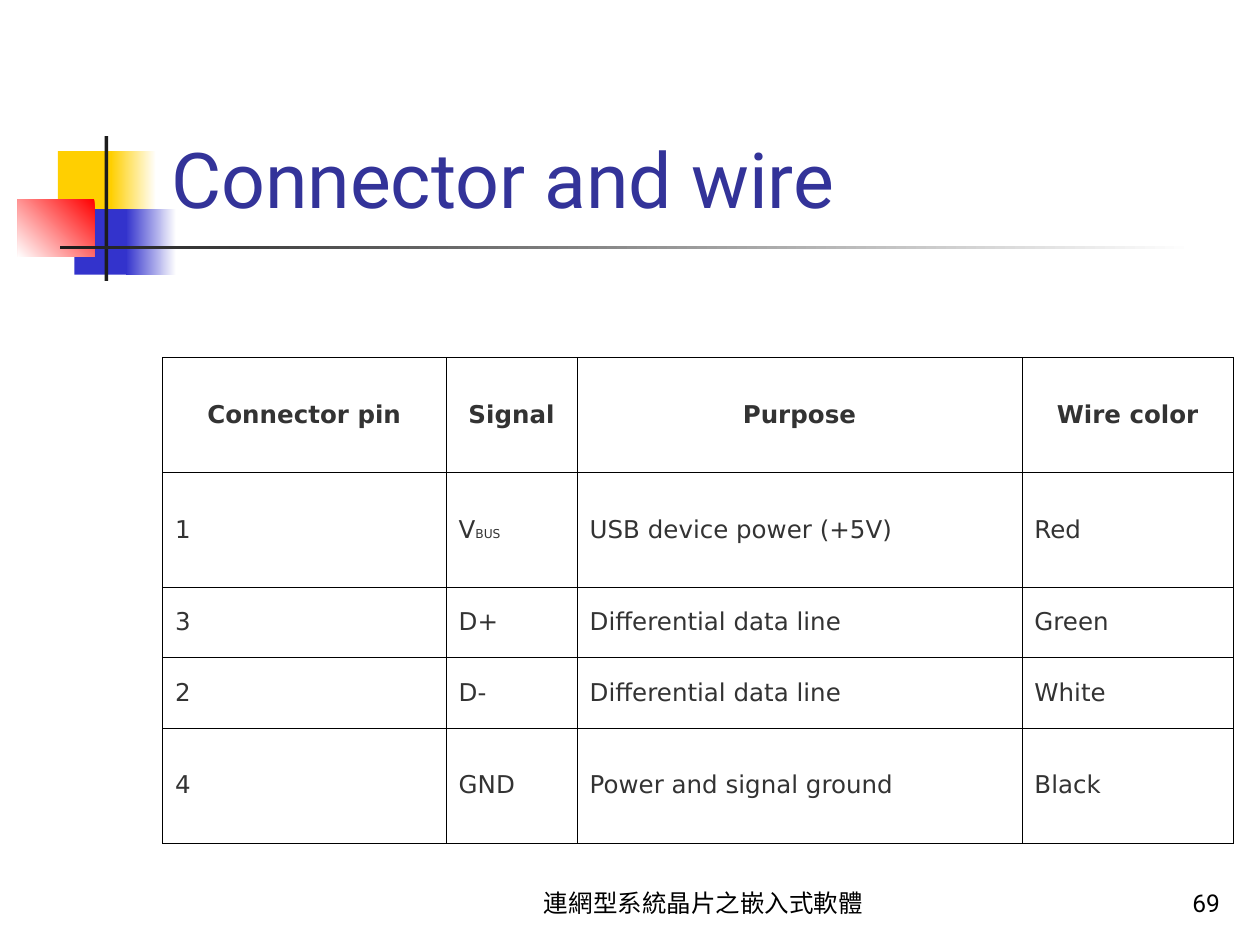
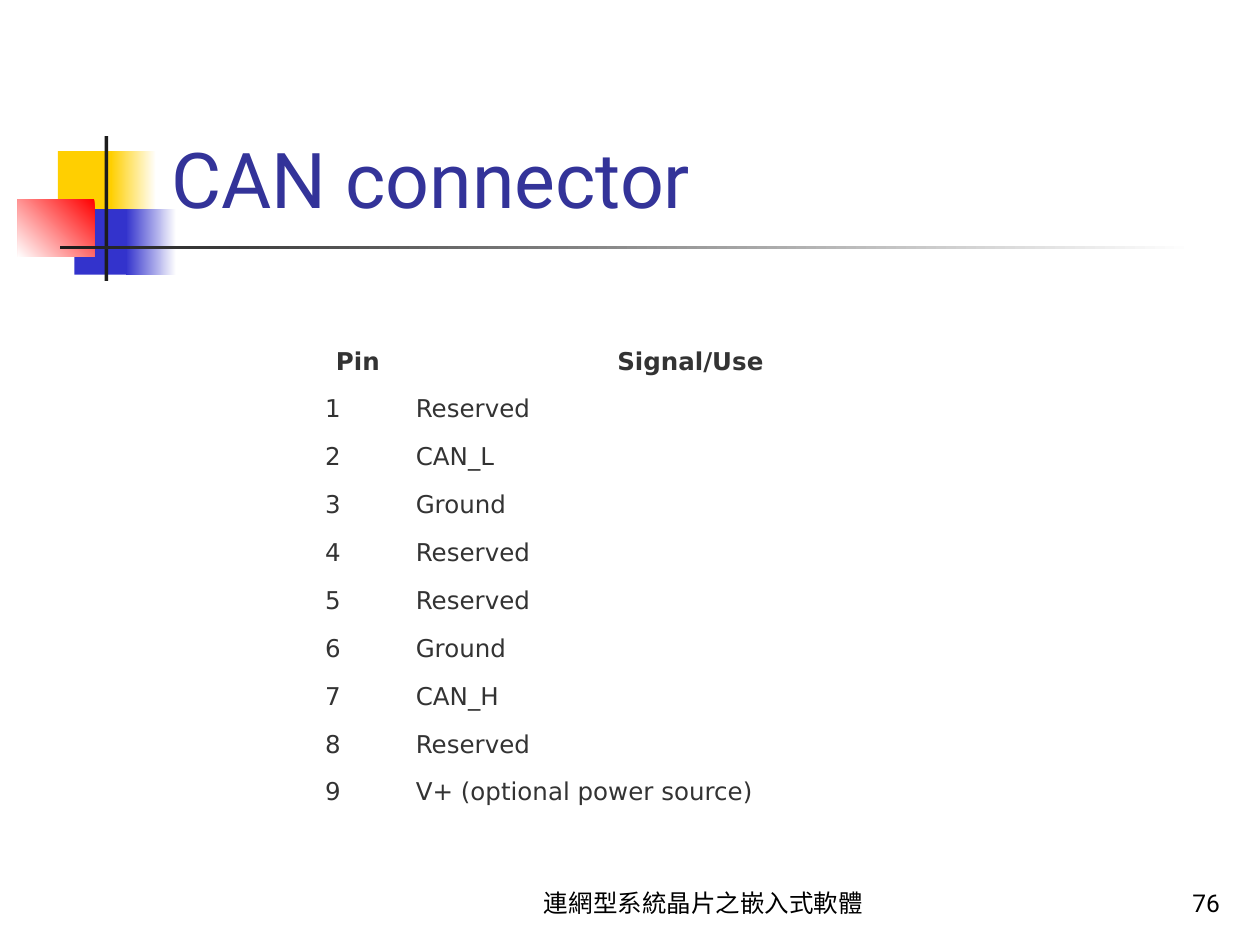
"""Builds two slides on the USB and CAN connectors."""
from lxml.etree import SubElement
from pptx import Presentation
from pptx.dml.color import RGBColor
from pptx.enum.shapes import MSO_SHAPE
from pptx.enum.text import MSO_ANCHOR, PP_ALIGN
from pptx.oxml.ns import qn
from pptx.util import Emu, Pt

PX = 9144
WHITE = RGBColor(0xFF, 0xFF, 0xFF)
BLACK = RGBColor(0x00, 0x00, 0x00)
YELLOW = RGBColor(0xFF, 0xCF, 0x01)
BLUE = RGBColor(0x33, 0x33, 0xCC)
RED = RGBColor(0xFF, 0x00, 0x00)
INK = RGBColor(0x1C, 0x1C, 0x1C)
NAVY = RGBColor(0x33, 0x33, 0x99)
GREY = RGBColor(0x33, 0x33, 0x33)

HEAD_FONT = "Roboto"
TABLE_FONT = "DejaVu Sans"
NO_STYLE = "{2D5ABB26-0587-4C30-8999-92F81FD0307C}"
FOOTER = "連網型系統晶片之嵌入式軟體"
THIN, TOP_LINE = 0.34, 0.45

USB_ROWS = [
    ("Connector pin", "Signal", "Purpose", "Wire color"),
    ("1", [("V", 14), ("BUS", 7)], "USB device power (+5V)", "Red"),
    ("3", "D+", "Differential data line", "Green"),
    ("2", "D-", "Differential data line", "White"),
    ("4", "GND", "Power and signal ground", "Black"),
]
CAN_SIGNALS = ["Reserved", "CAN_L", "Ground", "Reserved", "Reserved", "Ground",
               "CAN_H", "Reserved", "V+ (optional power source)"]


def px(n):
    return Emu(n * PX)


class Deck:
    """Holds the shared style and the current slide."""

    def __init__(self):
        self.prs = Presentation()
        self.prs.slide_width, self.prs.slide_height = px(1000), px(750)

    def slide(self, title, number):
        self.s = self.prs.slides.add_slide(self.prs.slide_layouts[6])
        self.emblem()
        self.text((126, 23, 852, 160), title, 44, NAVY, PP_ALIGN.LEFT)
        self.text((400, 683, 317, 50), FOOTER, 14, BLACK, PP_ALIGN.CENTER)
        self.text((770, 683, 208, 50), str(number), 14, BLACK, PP_ALIGN.RIGHT)

    def emblem(self):
        self.rect((46, 120, 48, 52), YELLOW)
        self.rect((88, 120, 36, 52), WHITE, YELLOW)
        self.rect((59, 166, 46, 52), BLUE)
        self.rect((100, 166, 40, 52), WHITE, BLUE)
        self.rect((14, 158, 61, 46), RED, WHITE, 225)
        self.rect((83, 108, 3, 115), INK)
        self.rect((48, 195, 900, 3), WHITE, INK)

    def rect(self, box, color, end=None, angle=180):
        sp = self.s.shapes.add_shape(MSO_SHAPE.RECTANGLE, *map(px, box))
        sp.shadow.inherit = False
        sp.line.fill.background()
        if end is None:
            sp.fill.solid()
            sp.fill.fore_color.rgb = color
            return
        sp.fill.gradient()
        sp.fill.gradient_angle = angle
        for stop, rgb in zip(sp.fill.gradient_stops, (color, end)):
            stop.color.rgb = rgb

    def run(self, p, text, size, color, font, bold=False):
        r = p.add_run()
        r.text = text
        r.font.size, r.font.name, r.font.bold = Pt(size), font, bold
        r.font.color.rgb = color

    def text(self, box, text, size, color, align):
        tf = self.s.shapes.add_textbox(*map(px, box)).text_frame
        tf.word_wrap = True
        tf.vertical_anchor = MSO_ANCHOR.BOTTOM
        p = tf.paragraphs[0]
        p.alignment = align
        self.run(p, text, size, color, HEAD_FONT)

    def table(self, left, top, widths, heights, rows, ruled=False):
        """Adds a table with an empty merged row above its header."""
        box = (left, top, sum(widths), sum(heights))
        table = self.s.shapes.add_table(len(heights), len(widths), *map(px, box)).table
        table.first_row = table.horz_banding = False
        table._tbl.tblPr.find(qn("a:tableStyleId")).text = NO_STYLE
        for column, width in zip(table.columns, widths):
            column.width = px(width)
        for row, height in zip(table.rows, heights):
            row.height = px(height)
        for cell in table.iter_cells():
            cell.fill.background()
        table.cell(0, 0).merge(table.cell(0, len(widths) - 1))
        if ruled:
            for cell in table.rows[0].cells:
                self.borders(cell, B=TOP_LINE)
        for i, row in enumerate(rows, 1):
            for j, content in enumerate(row):
                cell = table.cell(i, j)
                self.cell(cell, content, header=i == 1)
                if ruled:
                    self.borders(cell, L=THIN, R=THIN, T=TOP_LINE if i == 1 else THIN, B=THIN)

    def cell(self, cell, content, header):
        cell.vertical_anchor = MSO_ANCHOR.MIDDLE
        p = cell.text_frame.paragraphs[0]
        p.alignment = PP_ALIGN.CENTER if header else PP_ALIGN.LEFT
        pPr = p._p.get_or_add_pPr()
        pPr.set("marL", str(px(38)))
        pPr.set("indent", str(px(-38)))
        runs = [(content, 14)] if isinstance(content, str) else content
        for text, size in runs:
            self.run(p, text, size, GREY, TABLE_FONT, header)

    def borders(self, cell, **sides):
        tcPr = cell._tc.get_or_add_tcPr()
        for i, (side, width) in enumerate(sides.items()):
            ln = SubElement(tcPr, qn(f"a:ln{side}"), w=str(Pt(width)))
            fill = SubElement(ln, qn("a:solidFill"))
            SubElement(fill, qn("a:srgbClr"), val=str(BLACK))
            tcPr.insert(i, ln)


def main():
    deck = Deck()
    deck.slide("Connector and wire", 69)
    deck.table(129, 221, [225, 104, 353, 168], [63, 91, 91, 56, 56, 91],
               USB_ROWS, ruled=True)

    deck.slide("CAN connector", 76)
    pins = [(str(n), signal) for n, signal in enumerate(CAN_SIGNALS, 1)]
    deck.table(248, 218, [72, 456], [50] + [38] * 10, [("Pin", "Signal/Use")] + pins)
    deck.prs.save("out.pptx")


if __name__ == "__main__":
    main()
